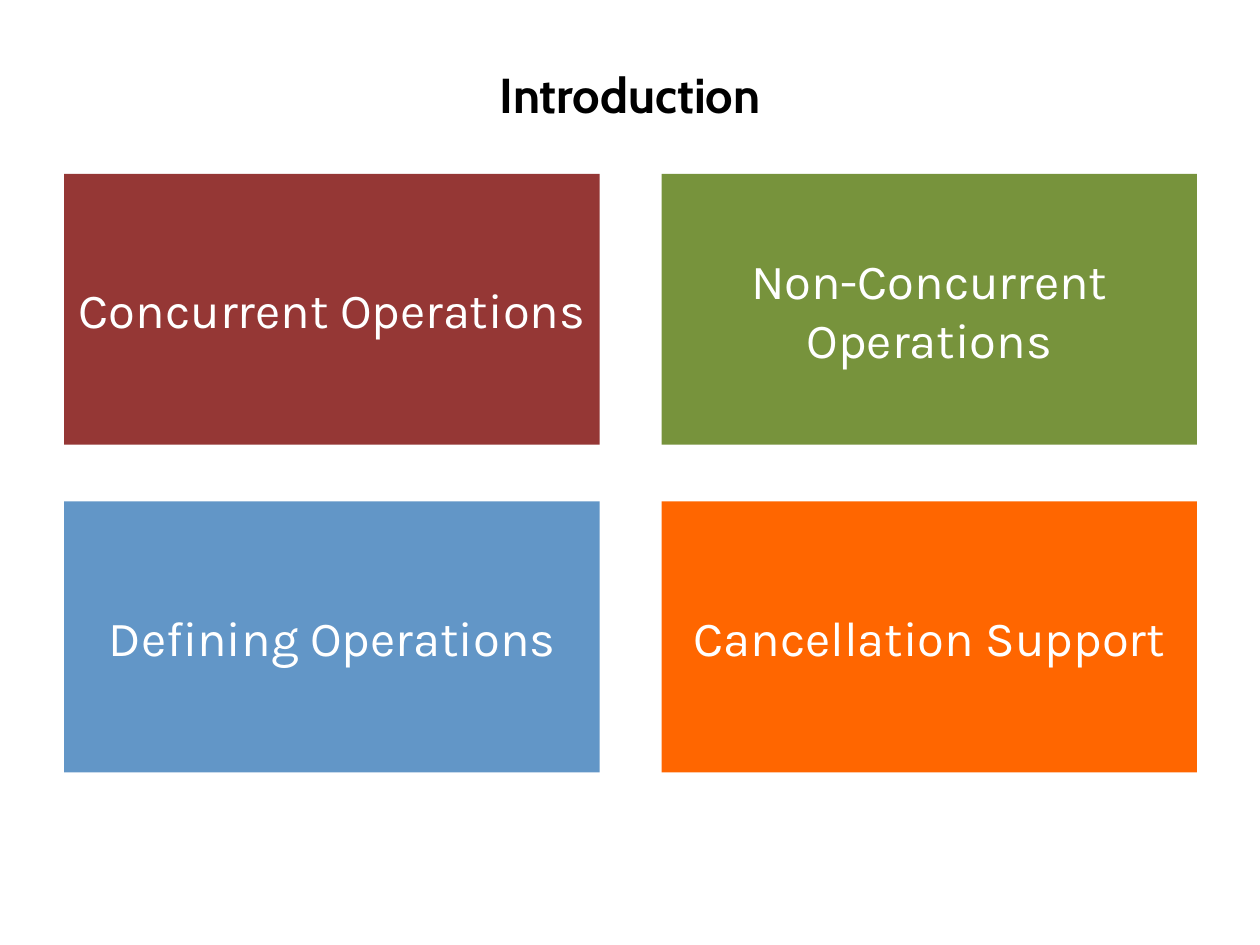
from pptx import Presentation
from pptx.dml.color import RGBColor
from pptx.enum.shapes import MSO_SHAPE
from pptx.enum.text import MSO_ANCHOR, PP_ALIGN
from pptx.util import Inches, Pt

RECTANGLE = MSO_SHAPE.RECTANGLE
MIDDLE = MSO_ANCHOR.MIDDLE
CENTER = PP_ALIGN.CENTER
TITLE_ONLY = 5
TOPICS = [
    ("Concurrent Operations", "953735"),
    ("Non-Concurrent\nOperations", "77933C"),
    ("Defining Operations", "6296C7"),
    ("Cancellation Support", "FF6600"),
]


def color(value):
    """Return the colour for a hex string."""
    return RGBColor.from_string(value)


def write_text(shape, text, font_name, font_color, bold=False):
    """Fill a shape with centred 28 point text."""
    frame = shape.text_frame
    frame.text = text
    frame.vertical_anchor = MIDDLE
    for paragraph in frame.paragraphs:
        paragraph.alignment = CENTER
        for run in paragraph.runs:
            run.font.name = font_name
            run.font.size = Pt(28)
            run.font.bold = bold
            run.font.color.rgb = color(font_color)


def place_title(slide, text, left, top, width, height):
    """Move and format the title placeholder."""
    title = slide.shapes.title
    title.left, title.top = Inches(left), Inches(top)
    title.width, title.height = Inches(width), Inches(height)
    write_text(title, text, "Cabin", "000000", bold=True)


def add_topic_grid(slide, topics, left, top, width, height):
    """Lay out topic tiles in two columns within the given box."""
    tile_width, tile_height = 4.25, 2.15
    for index, (text, fill) in enumerate(topics):
        row, column = divmod(index, 2)
        tile = slide.shapes.add_shape(
            RECTANGLE,
            Inches(left + column * (width - tile_width)),
            Inches(top + row * (height - tile_height)),
            Inches(tile_width),
            Inches(tile_height),
        )
        tile.shadow.inherit = False
        tile.fill.solid()
        tile.fill.fore_color.rgb = color(fill)
        tile.line.fill.background()
        write_text(tile, text, "Karla", "FFFFFF")
        tile.text_frame.word_wrap = False


def main():
    """Build and save the introduction slide."""
    presentation = Presentation()
    presentation.slide_width = Inches(10)
    presentation.slide_height = Inches(7.5)
    slide = presentation.slides.add_slide(presentation.slide_layouts[TITLE_ONLY])
    place_title(slide, "Introduction", 0.5, 0.33, 9, 0.83)
    add_topic_grid(slide, TOPICS, 0.51, 1.38, 8.99, 4.75)
    presentation.save("out.pptx")


if __name__ == "__main__":
    main()
